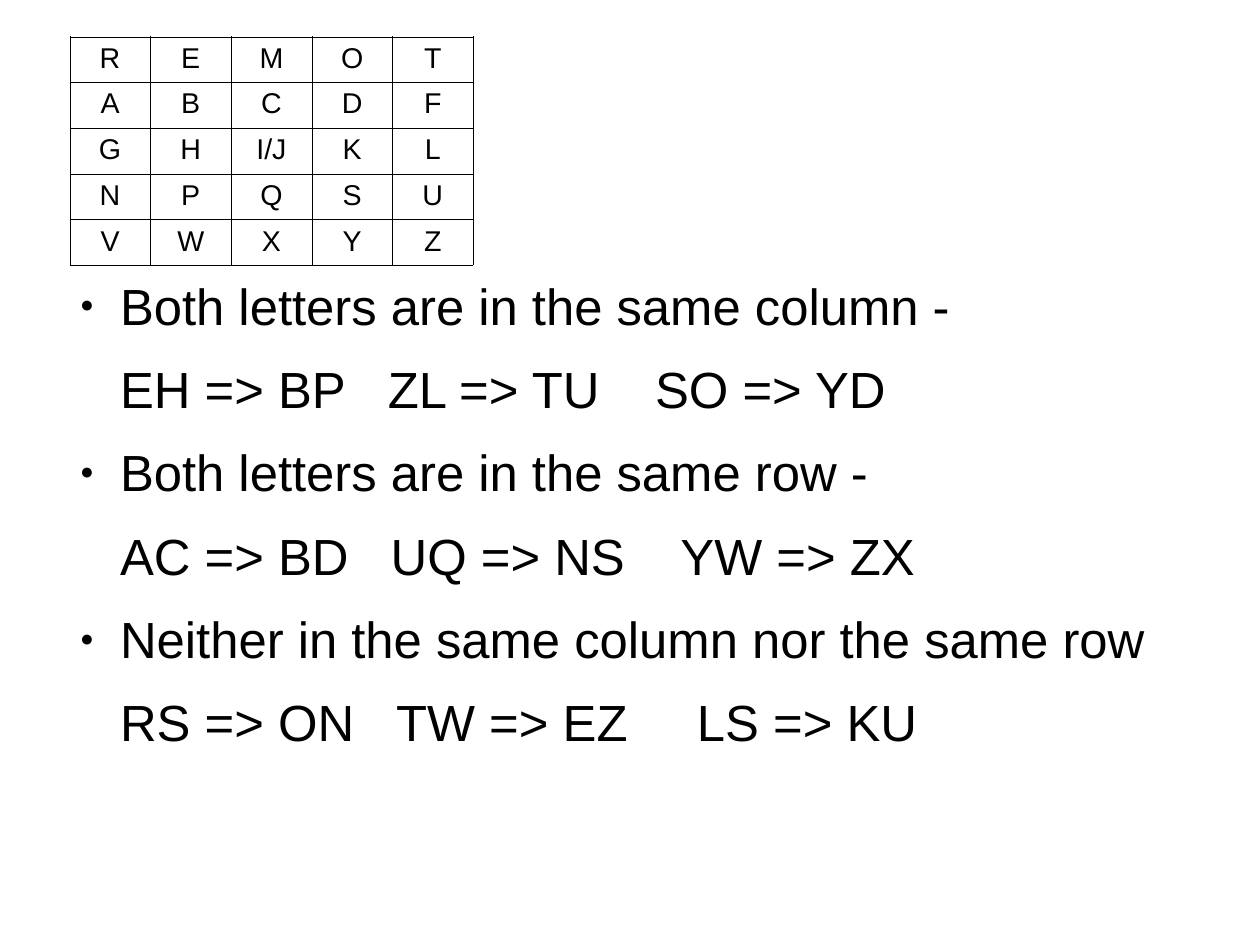
from lxml import etree
from pptx import Presentation
from pptx.dml.color import RGBColor
from pptx.enum.text import MSO_ANCHOR, PP_ALIGN
from pptx.oxml.ns import qn
from pptx.util import Inches, Pt

CENTER, LEFT = PP_ALIGN.CENTER, PP_ALIGN.LEFT
TOP = MSO_ANCHOR.TOP
BLACK = RGBColor(0, 0, 0)
WHITE = RGBColor(255, 255, 255)
FONT = "Arial"

# Content: the key square, then each rule with its examples
KEY_SQUARE = [
    ["R", "E", "M", "O", "T"],
    ["A", "B", "C", "D", "F"],
    ["G", "H", "I/J", "K", "L"],
    ["N", "P", "Q", "S", "U"],
    ["V", "W", "X", "Y", "Z"],
]
# rule, examples, width of the gap after each example (in spaces)
RULES = [
    ("Both letters are in the same column -",
     ["EH => BP", "ZL => TU", "SO => YD"], [3, 4]),
    ("Both letters are in the same row -",
     ["AC => BD", "UQ => NS", "YW => ZX"], [3, 4]),
    ("Neither in the same column nor the same row",
     ["RS => ON", "TW => EZ", "LS => KU"], [3, 5]),
]

# Layout: the page is 28 by 21 cm
CM_PER_INCH = 2.54
SLIDE_W, SLIDE_H = 28 / CM_PER_INCH, 21 / CM_PER_INCH
TABLE_LEFT, TABLE_TOP = 0.61, 0.32
TABLE_W, TABLE_H = 3.53, 2
BORDER_PT = 0.06
RULES_BOX = (0.58, 2.4, 9.92, 5.46)
INDENT, BULLET_HANG = 0.47, 0.35
LETTER_SIZE, RULE_SIZE = 18, 32
SPACE_WIDTH = 0.27 * RULE_SIZE  # one Arial space, in points


def add_run(paragraph, text, size):
    run = paragraph.add_run()
    run.text = text
    run.font.name = FONT
    run.font.size = Pt(size)
    run.font.color.rgb = BLACK
    return run


def add_gap(paragraph, spaces):
    """One space widened by character spacing."""
    gap = add_run(paragraph, " ", RULE_SIZE)
    gap.font._element.set("spc", str(round((spaces - 1) * SPACE_WIDTH * 100)))


def set_borders(cell):
    properties = cell._tc.get_or_add_tcPr()
    for index, side in enumerate(("a:lnL", "a:lnR", "a:lnT", "a:lnB")):
        line = etree.Element(qn(side), w=str(Pt(BORDER_PT)))
        fill = etree.SubElement(line, qn("a:solidFill"))
        etree.SubElement(fill, qn("a:srgbClr"), val=str(BLACK))
        properties.insert(index, line)


def set_bullet(properties):
    color = etree.SubElement(properties, qn("a:buClr"))
    etree.SubElement(color, qn("a:srgbClr"), val=str(BLACK))
    etree.SubElement(properties, qn("a:buSzPct"), val="45000")
    etree.SubElement(properties, qn("a:buFont"), typeface=FONT)
    etree.SubElement(properties, qn("a:buChar"), char="●")


def add_rule_line(frame, first, bulleted):
    paragraph = frame.paragraphs[0] if first else frame.add_paragraph()
    paragraph.alignment = LEFT
    paragraph.space_before = Pt(0)
    paragraph.space_after = Pt(14.1)
    properties = paragraph._p.get_or_add_pPr()
    properties.set("marL", str(Inches(INDENT)))
    properties.set("indent", str(-Inches(BULLET_HANG) if bulleted else 0))
    if bulleted:
        set_bullet(properties)
    else:
        etree.SubElement(properties, qn("a:buNone"))
    return paragraph


def main():
    prs = Presentation()
    prs.slide_width, prs.slide_height = Inches(SLIDE_W), Inches(SLIDE_H)
    # The page is a custom size, not the preset 4:3 screen
    prs.element.sldSz.attrib.pop("type", None)
    slide = prs.slides.add_slide(prs.slide_layouts[1])
    title = slide.shapes.title._element
    title.getparent().remove(title)

    # Rules and examples
    body = slide.placeholders[1]
    body.left, body.top, body.width, body.height = map(Inches, RULES_BOX)
    frame = body.text_frame
    frame.word_wrap = True
    frame.vertical_anchor = TOP
    frame.margin_left = frame.margin_right = 0
    frame.margin_top = frame.margin_bottom = 0
    for number, (rule, examples, gaps) in enumerate(RULES):
        add_run(add_rule_line(frame, number == 0, True), rule, RULE_SIZE)
        example_line = add_rule_line(frame, False, False)
        add_run(example_line, examples[0], RULE_SIZE)
        for spaces, example in zip(gaps, examples[1:]):
            add_gap(example_line, spaces)
            add_run(example_line, example, RULE_SIZE)

    # Key square
    square = slide.shapes.add_table(
        len(KEY_SQUARE), len(KEY_SQUARE[0]), Inches(TABLE_LEFT),
        Inches(TABLE_TOP), Inches(TABLE_W), Inches(TABLE_H)).table
    square.first_row = square.horz_banding = False
    for r, letters in enumerate(KEY_SQUARE):
        for c, letter in enumerate(letters):
            cell = square.cell(r, c)
            cell.fill.solid()
            cell.fill.fore_color.rgb = WHITE
            set_borders(cell)
            paragraph = cell.text_frame.paragraphs[0]
            paragraph.alignment = CENTER
            add_run(paragraph, letter, LETTER_SIZE)

    prs.save("out.pptx")


if __name__ == "__main__":
    main()
